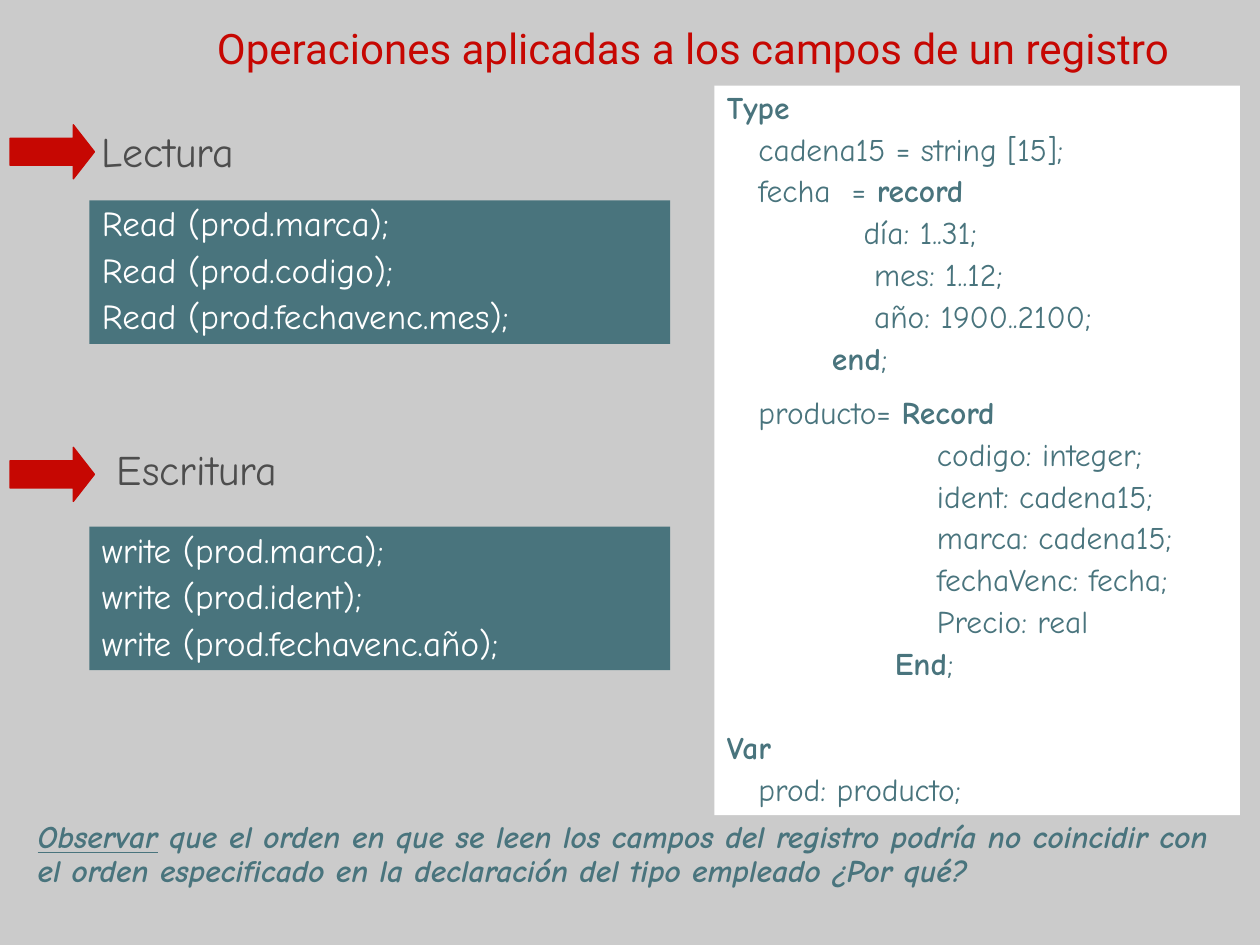
from pptx import Presentation, util as u
from pptx.dml.color import RGBColor
from pptx.enum import shapes, text
from pptx.oxml import parse_xml
from pptx.oxml.ns import nsdecls

COLORS = {"background": "CBCBCB", "red": "C60702", "teal": "49747D",
          "gray": "4D4D4D", "white": "FFFFFF"}
BODY_FONT, TITLE_FONT = "Comic Neue", "Roboto"

READ_CODE = """Read (prod.marca);
Read (prod.codigo);
Read (prod.fechavenc.mes);"""

WRITE_CODE = """write (prod.marca);
write (prod.ident);
write (prod.fechavenc.año);"""

TYPE_CODE = """**Type
   cadena15 = string [15];
   fecha  = **record
             día: 1..31;
              mes: 1..12;
              año: 1900..2100;
          **end**;
   producto= **Record
\t        codigo: integer;
\t        ident: cadena15;
\t        marca: cadena15;
\t        fechaVenc: fecha;
\t        Precio: real
\t    **End**;
**Var
   prod: producto;"""


def rgb(name):
    return RGBColor.from_string(COLORS[name])


def format_run(r, size, color, font=BODY_FONT, bold=False):
    r.font.size = u.Pt(size)
    r.font.name = font
    r.font.bold = bold
    r.font.color.rgb = rgb(color)


def add_text(s, box, content, size, color, font=BODY_FONT, spacing=0.9):
    sp = s.shapes.add_textbox(*map(u.Inches, box))
    tf = sp.text_frame
    tf.word_wrap = True
    p = tf.paragraphs[0]
    p.text = content
    p.line_spacing = spacing
    format_run(p.runs[0], size, color, font)
    return sp


def add_filled(s, kind, box, color):
    sp = s.shapes.add_shape(kind, *map(u.Inches, box))
    sp.shadow.inherit = False
    sp.fill.solid()
    sp.fill.fore_color.rgb = rgb(color)
    sp.line.fill.background()
    return sp


def add_arrow(s, top):
    sp = add_filled(s, shapes.MSO_SHAPE.RIGHT_ARROW, (0.08, top, 0.67, 0.43), "red")
    sp.adjustments[1] = 0.39
    sp.line.color.rgb = rgb("red")
    sp.line.width = u.Pt(0.75)


def add_tab_stop(p, inches):
    p._p.get_or_add_pPr().append(parse_xml(
        f'<a:tabLst {nsdecls("a")}><a:tab pos="{u.Inches(inches)}" algn="l"/></a:tabLst>'))


def add_code(s, box, code, fill, color, size, gap, wide_gaps=None):
    sp = add_filled(s, shapes.MSO_SHAPE.RECTANGLE, box, fill)
    tf = sp.text_frame
    tf.word_wrap = True
    tf.vertical_anchor = text.MSO_ANCHOR.TOP
    for i, line in enumerate(code.splitlines()):
        p = tf.paragraphs[0] if i == 0 else tf.add_paragraph()
        if "\t" in line:
            add_tab_stop(p, 1)
        p.alignment = text.PP_ALIGN.LEFT
        p.line_spacing = 0.9
        p.space_before = u.Pt((wide_gaps or {}).get(i, gap) if i else 0)
        for j, part in enumerate(line.split("**")):
            if part:
                r = p.add_run()
                r.text = part
                format_run(r, size, color, bold=j % 2 == 1)


def add_title(s):
    sp = add_text(s, (1.34, 0, 8.32, 0.76),
                  "Operaciones aplicadas a los campos de un registro",
                  24, "red", TITLE_FONT, 1.0)
    sp.text_frame.vertical_anchor = text.MSO_ANCHOR.MIDDLE
    sp.text_frame.paragraphs[0].alignment = text.PP_ALIGN.CENTER


def add_remark(s):
    sp = add_text(s, (0.2, 6.47, 9.49, 0.64), "Observar", 18, "teal")
    p = sp.text_frame.paragraphs[0]
    p.alignment = text.PP_ALIGN.JUSTIFY
    r = p.add_run()
    r.text = (" que el orden en que se leen los campos del registro podría no coincidir con "
              "el orden especificado en la declaración del tipo empleado ¿Por qué?")
    for r in p.runs:
        format_run(r, 18, "teal", bold=True)
        r.font.italic = True
    p.runs[0].font.underline = True


def main():
    prs = Presentation()
    prs.slide_width, prs.slide_height = u.Inches(10), u.Inches(7.5)
    s = prs.slides.add_slide(prs.slide_layouts[6])
    s.background.fill.solid()
    s.background.fill.fore_color.rgb = rgb("background")

    add_title(s)
    sections = [
        ("Lectura", 0.71, 0.99, 0.99, 1.59, READ_CODE),
        ("Escritura", 0.83, 3.52, 3.55, 4.18, WRITE_CODE),
    ]
    for heading, left, top, arrow_top, code_top, code in sections:
        add_text(s, (left, top, 5.39, 0.46), heading, 24, "gray")
        add_arrow(s, arrow_top)
        add_code(s, (0.71, code_top, 4.61, 1.14), code, "teal", "white", 20, 5)
    add_code(s, (5.67, 0.68, 4.17, 5.79), TYPE_CODE, "white", "teal", 18, 4.5,
             wide_gaps={7: 11.2, 14: 28.5})
    add_remark(s)
    prs.save("out.pptx")


if __name__ == "__main__":
    main()
